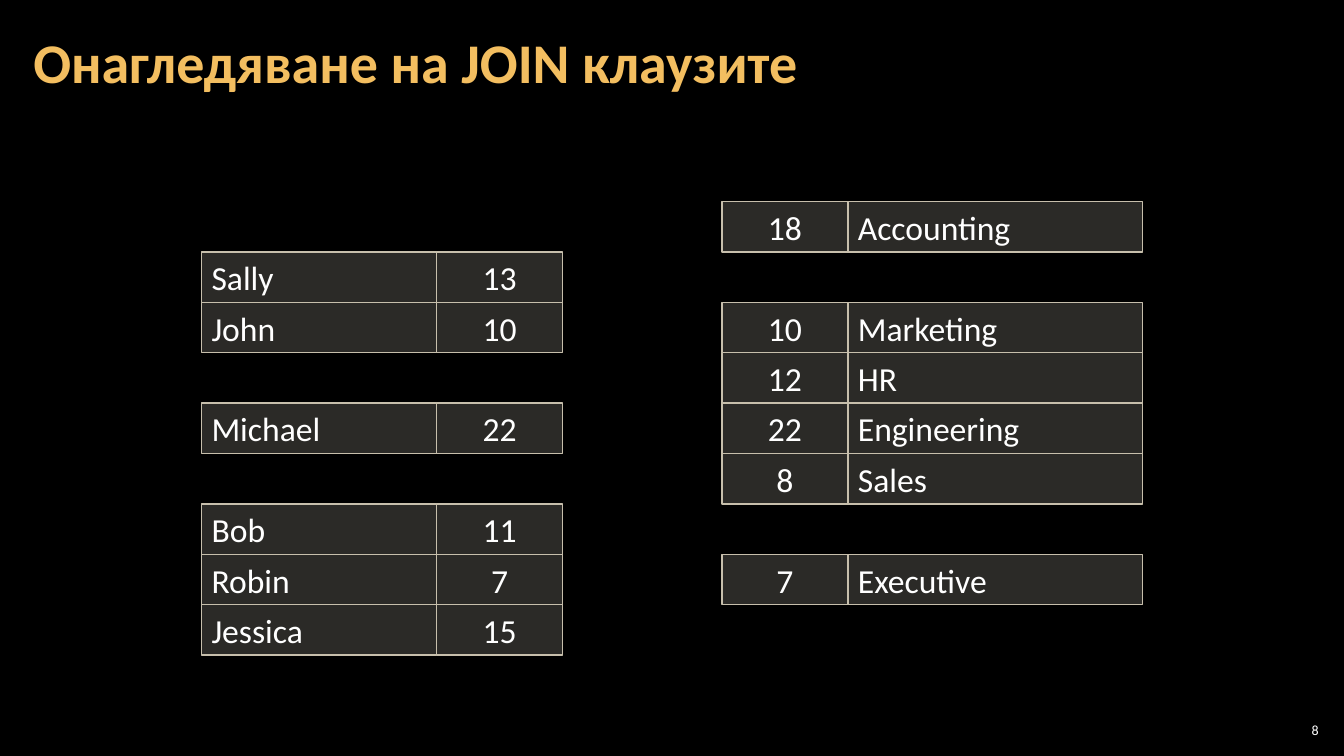
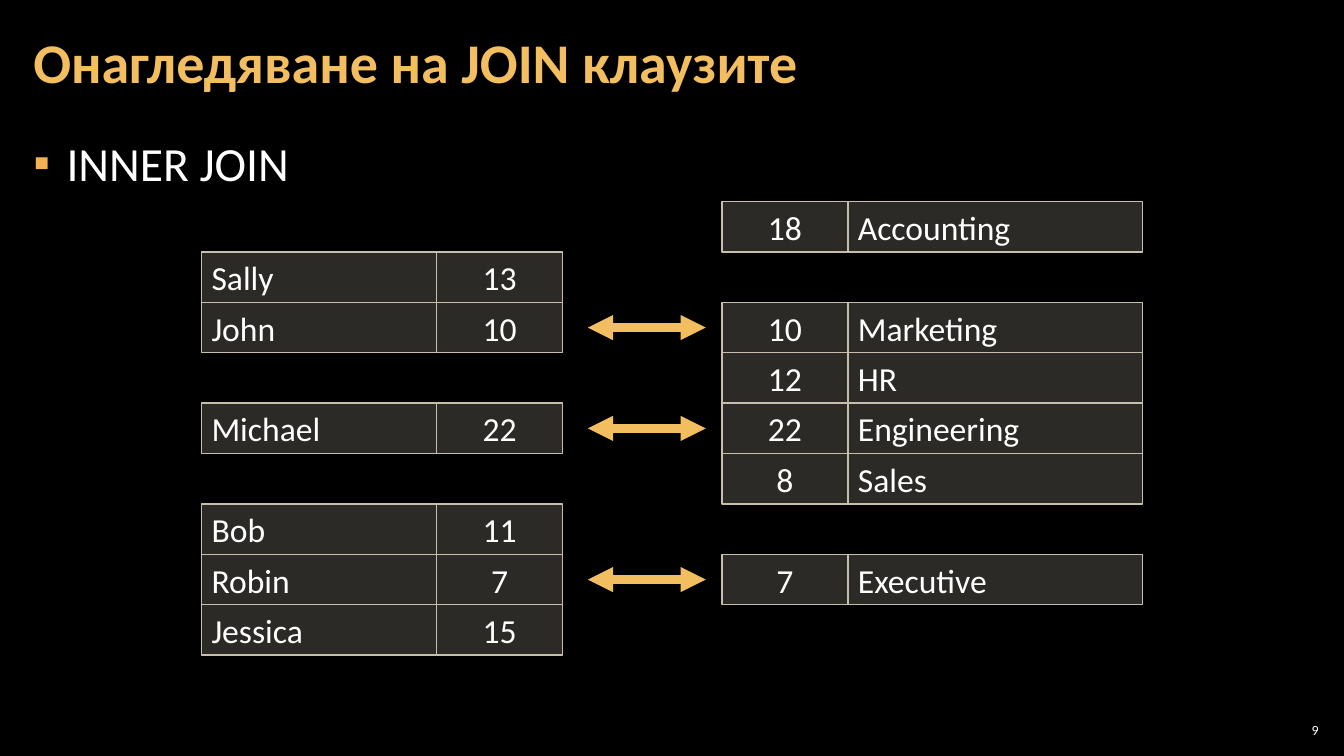
from lxml.etree import SubElement
from pptx import Presentation
from pptx.dml.color import RGBColor
from pptx.enum.shapes import MSO_CONNECTOR, MSO_SHAPE
from pptx.enum.text import MSO_ANCHOR, MSO_AUTO_SIZE, PP_ALIGN
from pptx.oxml.ns import qn
from pptx.util import Inches, Pt

COLORS = {"back": "000000", "text": "FFFFFF", "gold": "F3BE60",
          "bullet": "F2B254", "cell": "D9D5C7", "border": "C7BFAC"}
RGB = {name: RGBColor.from_string(value) for name, value in COLORS.items()}
FONT = "Calibri"
TITLE = "Онагледяване на JOIN клаузите"
FIRST_NUMBER = 8
BULLETS = [None, "INNER JOIN"]

# Grid: rows are counted from the top of the slide, columns are (left, width)
ROW = 0.5
NAME, NAME_KEY = (2, 2.33), (4.33, 1.25)
DEPT_KEY, DEPT = (7.16, 1.25), (8.41, 2.92)
ARROW_LEFT, ARROW_RIGHT = 5.83, 7
EMPLOYEES = {5: ("Sally", 13), 6: ("John", 10), 8: ("Michael", 22),
             10: ("Bob", 11), 11: ("Robin", 7), 12: ("Jessica", 15)}
DEPARTMENTS = {4: (18, "Accounting"), 6: (10, "Marketing"), 7: (12, "HR"),
               8: (22, "Engineering"), 9: (8, "Sales"), 11: (7, "Executive")}


def write(sp, text, size=24, color="text", bold=False, align=PP_ALIGN.LEFT,
          anchor=MSO_ANCHOR.MIDDLE, inset=(0.1, 0.05), spacing=1):
    tf = sp.text_frame
    tf.word_wrap = True
    tf.auto_size = MSO_AUTO_SIZE.NONE
    tf.vertical_anchor = anchor
    tf.margin_left = tf.margin_right = Inches(inset[0])
    tf.margin_top = tf.margin_bottom = Inches(inset[1])
    p = tf.paragraphs[0]
    p.alignment, p.line_spacing = align, spacing
    p.space_before = p.space_after = Pt(0)
    r = p.add_run()
    r.text = text
    r.font.name, r.font.size, r.font.bold = FONT, Pt(size), bold
    r.font.color.rgb = RGB[color]
    return p


def place(sp, left, top, width, height):
    sp.left, sp.top = Inches(left), Inches(top)
    sp.width, sp.height = Inches(width), Inches(height)


prs = Presentation()
prs.slide_width, prs.slide_height = Inches(13.33), Inches(7.5)
fill = prs.slide_master.background.fill
fill.solid()
fill.fore_color.rgb = RGB["back"]

cells = []
for row, (name, key) in EMPLOYEES.items():
    cells += [(row, NAME, name, PP_ALIGN.LEFT),
              (row, NAME_KEY, str(key), PP_ALIGN.CENTER)]
for row, (key, dept) in DEPARTMENTS.items():
    cells += [(row, DEPT_KEY, str(key), PP_ALIGN.CENTER),
              (row, DEPT, dept, PP_ALIGN.LEFT)]
matches = [row for row, (name, key) in EMPLOYEES.items()
           if row in DEPARTMENTS and DEPARTMENTS[row][0] == key]

for number, bullet in enumerate(BULLETS, FIRST_NUMBER):
    layout = "Title and Content" if bullet else "Title Only"
    s = prs.slides.add_slide(prs.slide_layouts.get_by_name(layout))

    title = s.shapes.title
    place(title, 0.21, 0.04, 10.47, 1.21)
    write(title, TITLE, size=40, color="gold", bold=True,
          inset=(0.12, 0.04), spacing=0.9)

    number_box = s.shapes.add_textbox(0, 0, 0, 0)
    place(number_box, 12.65, 7.14, 0.47, 0.21)
    write(number_box, str(number), size=10, align=PP_ALIGN.RIGHT,
          inset=(0.04, 0.04))

    for row, (left, width), text, align in cells:
        cell = s.shapes.add_shape(MSO_SHAPE.RECTANGLE, 0, 0, 0, 0)
        place(cell, left, row * ROW, width, ROW)
        cell.shadow.inherit = False
        cell.fill.solid()
        cell.fill.fore_color.rgb = RGB["cell"]
        color = cell.fill._xPr.find(qn("a:solidFill")).find(qn("a:srgbClr"))
        SubElement(color, qn("a:alpha"), val="20000")
        cell.line.color.rgb = RGB["border"]
        cell.line.width = Pt(1)
        write(cell, text, align=align)

    if bullet:
        body = s.placeholders[1]
        place(body, 0.21, 1.26, 12.91, 6.09)
        p = write(body, bullet, size=34, anchor=MSO_ANCHOR.TOP,
                  inset=(0.12, 0.04), spacing=1.05)
        p.space_before = p.space_after = Pt(6)
        pPr = p._p.get_or_add_pPr()
        pPr.set("marL", str(Inches(0.33)))
        pPr.set("indent", str(-Inches(0.33)))
        SubElement(SubElement(pPr, qn("a:buClr")), qn("a:srgbClr"),
                   val=COLORS["bullet"])
        SubElement(pPr, qn("a:buChar"), char="▪")

        for row in matches:
            y = Inches((row + 0.5) * ROW)
            arrow = s.shapes.add_connector(
                MSO_CONNECTOR.STRAIGHT, Inches(ARROW_LEFT), y,
                Inches(ARROW_RIGHT), y)
            arrow.line.color.rgb = RGB["gold"]
            arrow.line.width = Pt(6)
            ln = arrow.line._get_or_add_ln()
            for end in ("a:headEnd", "a:tailEnd"):
                SubElement(ln, qn(end), type="triangle")
            SubElement(arrow._element.spPr, qn("a:effectLst"))

prs.save("out.pptx")
